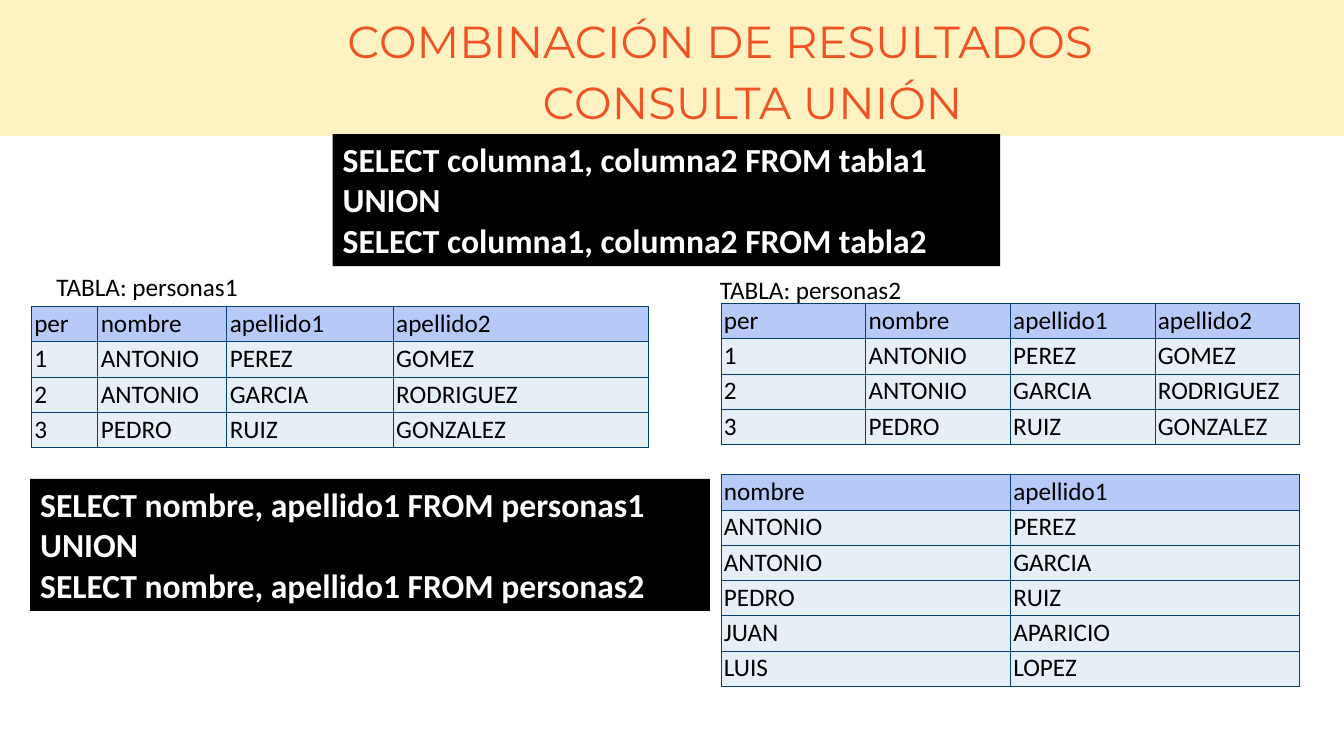
"""Build the slide that explains the SQL UNION query with two sample tables."""
import pptx
import pptx.dml.color
import pptx.enum.shapes
import pptx.enum.text
import pptx.oxml
import pptx.util
from lxml import etree

Inches = pptx.util.Inches
Pt = pptx.util.Pt
DRAWING = "http://schemas.openxmlformats.org/drawingml/2006/main"


def color(value):
    return pptx.dml.color.RGBColor.from_string(value)


class UnionSlide:
    heading_font, body_font = "Montserrat", "Calibri"
    orange, yellow, black, white = "EE5323", "FFCC00", "000000", "FFFFFF"
    header_fill, row_fill, border = "B7CAF7", "E6EEF6", "073E77"
    row_height = 0.35

    def __init__(self, presentation):
        self.slide = presentation.slides.add_slide(presentation.slide_layouts[5])
        self.shapes = self.slide.shapes

    def set_text(self, shape, lines, font, size, text_color, bold=False, wrap=True):
        frame = shape.text_frame
        frame.text = "\n".join(lines)
        frame.word_wrap = wrap
        frame.auto_size = pptx.enum.text.MSO_AUTO_SIZE.NONE
        frame.vertical_anchor = pptx.enum.text.MSO_ANCHOR.TOP
        for paragraph in frame.paragraphs:
            paragraph.alignment = pptx.enum.text.PP_ALIGN.LEFT
            paragraph.font.name = font
            paragraph.font.size = Pt(size)
            paragraph.font.bold = bold
            paragraph.font.color.rgb = color(text_color)

    def rectangle(self, left, top, width, height, fill):
        shape = self.shapes.add_shape(
            pptx.enum.shapes.MSO_SHAPE.RECTANGLE,
            Inches(left), Inches(top), Inches(width), Inches(height))
        shape.shadow.inherit = False
        shape.fill.solid()
        shape.fill.fore_color.rgb = color(fill)
        shape.line.fill.background()
        return shape

    def band(self, height, opacity):
        shape = self.rectangle(0, 0, 13.33, height, self.yellow)
        fill = shape.element.spPr.find(f"{{{DRAWING}}}solidFill")
        etree.SubElement(fill[0], f"{{{DRAWING}}}alpha", val=str(opacity * 1000))
        self.shapes.title.element.addprevious(shape.element)

    def heading(self, shape, text, left, top):
        shape.left, shape.top = Inches(left), Inches(top)
        shape.width, shape.height = Inches(11.99), Inches(0.61)
        self.set_text(shape, [text], self.heading_font, 32, self.orange)
        paragraph = shape.text_frame.paragraphs[0]
        paragraph.alignment = pptx.enum.text.PP_ALIGN.CENTER
        paragraph.line_spacing = Pt(36)

    def text_box(self, left=0, top=0, width=1, height=0.4):
        return self.shapes.add_textbox(
            Inches(left), Inches(top), Inches(width), Inches(height))

    def label(self, text, left, top):
        self.set_text(self.text_box(left, top, 2.02), [text],
                      self.body_font, 18, self.black, wrap=False)

    def query(self, lines, left, top, width):
        shape = self.rectangle(left, top, width, 1.31, self.black)
        self.set_text(shape, lines, self.body_font, 24, self.white, bold=True)

    def table(self, rows, left, top, widths):
        frame = self.shapes.add_table(
            len(rows), len(widths), Inches(left), Inches(top),
            Inches(sum(widths)), Inches(self.row_height * len(rows)))
        table = frame.table
        table.first_row = table.horz_banding = False
        for column, width in zip(table.columns, widths):
            column.width = Inches(width)
        for row_index, values in enumerate(rows):
            fill = self.row_fill if row_index else self.header_fill
            for column_index, value in enumerate(values):
                self.cell(table.cell(row_index, column_index), value, fill)

    def cell(self, cell, value, fill):
        cell.margin_left = cell.margin_right = Inches(0.03)
        cell.margin_top = cell.margin_bottom = Inches(0.02)
        cell.text = value
        font = cell.text_frame.paragraphs[0].font
        font.name, font.size = self.body_font, Pt(18)
        font.color.rgb = color(self.black)
        properties = cell._tc.get_or_add_tcPr()
        for side in ("lnL", "lnR", "lnT", "lnB"):
            properties.append(pptx.oxml.parse_xml(
                f'<a:{side} xmlns:a="{DRAWING}" w="{Pt(0.6)}"><a:solidFill>'
                f'<a:srgbClr val="{self.border}"/></a:solidFill></a:{side}>'))
        cell.fill.solid()
        cell.fill.fore_color.rgb = color(fill)


def main():
    presentation = pptx.Presentation()
    presentation.slide_width = Inches(13.33)
    presentation.slide_height = Inches(7.5)
    page = UnionSlide(presentation)

    page.band(1.35, 24)
    page.heading(page.shapes.title, "COMBINACIÓN DE RESULTADOS", 1.15, 0.12)
    page.heading(page.text_box(), "CONSULTA UNIÓN", 1.47, 0.73)
    page.query(["SELECT columna1, columna2 FROM tabla1", "UNION",
                "SELECT columna1, columna2 FROM tabla2"], 3.3, 1.33, 6.62)

    people = [
        ["per", "nombre", "apellido1", "apellido2"],
        ["1", "ANTONIO", "PEREZ", "GOMEZ"],
        ["2", "ANTONIO", "GARCIA", "RODRIGUEZ"],
        ["3", "PEDRO", "RUIZ", "GONZALEZ"],
    ]
    page.table(people, 0.31, 3.04, [0.66, 1.28, 1.65, 2.53])
    page.table(people, 7.15, 3.01, [5.74 / 4] * 4)
    page.label("TABLA: personas1", 0.46, 2.64)
    page.label("TABLA: personas2", 7.04, 2.67)

    page.query(["SELECT nombre, apellido1 FROM personas1", "UNION",
                "SELECT nombre, apellido1 FROM personas2"], 0.3, 4.75, 6.74)
    union = [row[1:3] for row in people] + [["JUAN", "APARICIO"], ["LUIS", "LOPEZ"]]
    page.table(union, 7.15, 4.71, [5.74 / 2] * 2)

    presentation.save("out.pptx")


if __name__ == "__main__":
    main()
